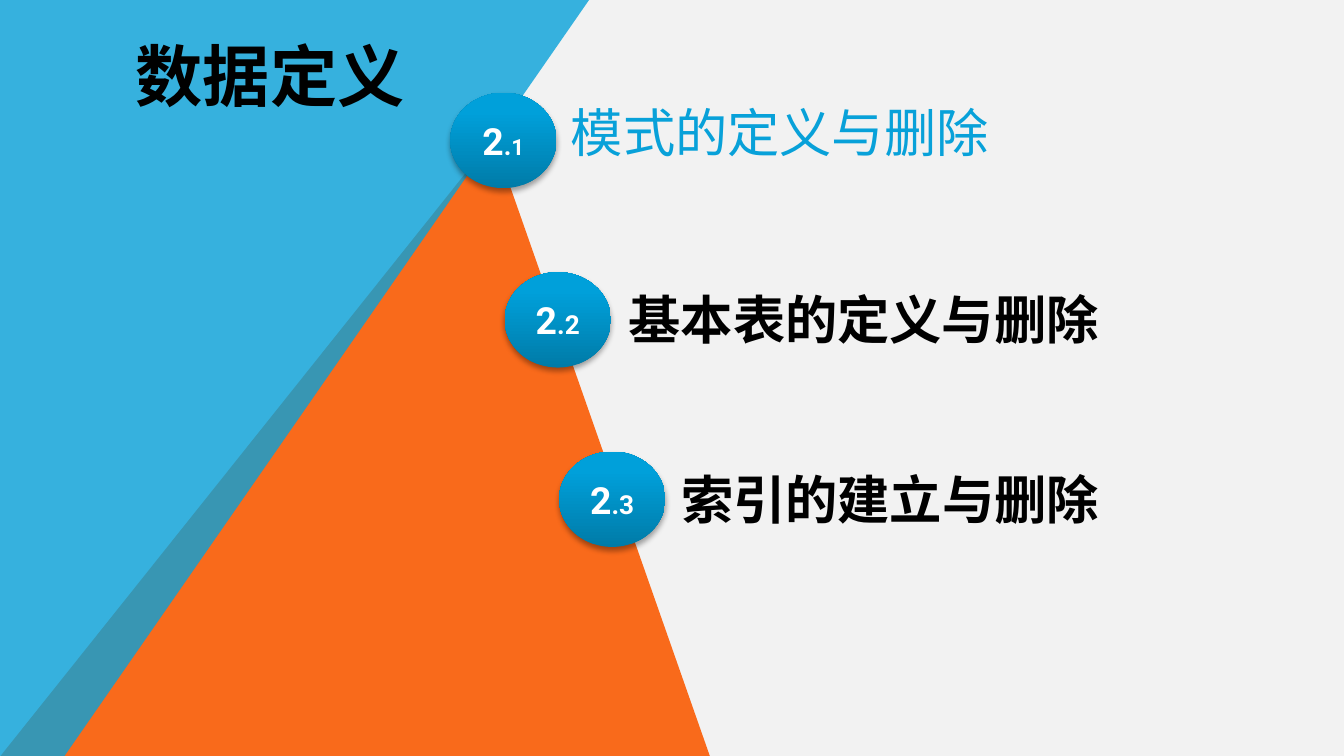
from copy import deepcopy
from dataclasses import dataclass

from lxml import etree
from pptx import Presentation
from pptx.dml.color import RGBColor
from pptx.enum.shapes import MSO_SHAPE
from pptx.enum.text import MSO_ANCHOR, MSO_AUTO_SIZE, PP_ALIGN
from pptx.oxml.ns import qn
from pptx.util import Inches, Pt

OVAL = MSO_SHAPE.OVAL
MIDDLE = MSO_ANCHOR.MIDDLE
GROW = MSO_AUTO_SIZE.SHAPE_TO_FIT_TEXT
FIXED = MSO_AUTO_SIZE.NONE
LEFT = PP_ALIGN.LEFT
CENTER = PP_ALIGN.CENTER


@dataclass(frozen=True)
class Theme:
    background: str = "F2F2F2"
    orange: str = "F96A1B"
    blue: str = "08A1D9"
    black: str = "000000"
    white: str = "FFFFFF"
    badge_stops: tuple = ((0, "007BA8"), (0.8, "00A0DA"), (1, "00A0DB"))
    heading_font: str = "Roboto"
    label_font: str = "Arial"
    title_size: int = 36
    label_size: int = 28
    number_size: int = 20
    minor_size: int = 14
    small_size: int = 12


class SlideBuilder:
    def __init__(self, slide, theme):
        self.slide = slide
        self.theme = theme
        fill = slide.background.fill
        fill.solid()
        fill.fore_color.rgb = RGBColor.from_string(theme.background)

    def run(self, p, text, color, **font):
        r = p.add_run()
        r.text = text
        for name, value in font.items():
            setattr(r.font, name, value)
        r.font.color.rgb = RGBColor.from_string(color)

    def frame(self, sp, align, **settings):
        tf = sp.text_frame
        for name, value in settings.items():
            setattr(tf, name, value)
        p = tf.paragraphs[0]
        p.alignment = align
        return p

    def polygon(self, points, color, opacity=100):
        start, *rest = [(Inches(x), Inches(y)) for x, y in points]
        builder = self.slide.shapes.build_freeform(*start)
        builder.add_line_segments(rest, close=True)
        sp = builder.convert_to_shape()
        sp.shadow.inherit = False
        sp.line.fill.background()
        sp.fill.solid()
        sp.fill.fore_color.rgb = RGBColor.from_string(color)
        if opacity < 100:
            clr = sp._element.spPr.find(qn("a:solidFill")).find(qn("a:srgbClr"))
            etree.SubElement(clr, qn("a:alpha"), val=str(opacity * 1000))

    def title(self, text, left, top, width, height):
        sp = self.slide.shapes.title
        box = {"left": left, "top": top, "width": width, "height": height}
        for name, value in box.items():
            setattr(sp, name, Inches(value))
        p = self.frame(sp, LEFT, vertical_anchor=MIDDLE, auto_size=FIXED, word_wrap=True)
        self.run(p, text, self.theme.black, name=self.theme.heading_font,
                 size=Pt(self.theme.title_size), bold=True)
        self.slide.shapes._spTree.append(sp._element)

    def badge(self, runs, left, top, width=0.79, height=0.71):
        sp = self.slide.shapes.add_shape(
            OVAL, Inches(left), Inches(top), Inches(width), Inches(height))
        sp.line.fill.background()
        self.gradient(sp.fill)
        self.shadow(sp)
        p = self.frame(sp, CENTER, vertical_anchor=MIDDLE)
        for text, size in runs:
            self.run(p, text, self.theme.white, name=self.theme.heading_font,
                     size=Pt(size), bold=True)

    def gradient(self, fill):
        fill.gradient()
        fill.gradient_angle = 90
        stops = fill._fill._gradFill.find(qn("a:gsLst"))
        stops.append(deepcopy(stops[-1]))
        for stop, (position, color) in zip(fill.gradient_stops, self.theme.badge_stops):
            stop.position = position
            stop.color.rgb = RGBColor.from_string(color)

    def shadow(self, sp):
        sp.shadow.inherit = False
        effects = sp._element.spPr.find(qn("a:effectLst"))
        outer = etree.SubElement(
            effects, qn("a:outerShdw"), blurRad=str(Pt(3.1)), dist=str(Pt(1.8)),
            dir="5400000", rotWithShape="0")
        clr = etree.SubElement(outer, qn("a:srgbClr"), val=self.theme.black)
        etree.SubElement(clr, qn("a:alpha"), val="35000")

    def label(self, text, left, top, width, color, bold, height=0.57):
        sp = self.slide.shapes.add_textbox(
            Inches(left), Inches(top), Inches(width), Inches(height))
        p = self.frame(sp, LEFT, word_wrap=False, auto_size=GROW)
        self.run(p, text, color, name=self.theme.label_font,
                 size=Pt(self.theme.label_size), bold=bold)


def main():
    theme = Theme()
    prs = Presentation()
    prs.slide_width = Inches(10)
    prs.slide_height = prs.slide_width * 9 // 16
    s = SlideBuilder(prs.slides.add_slide(prs.slide_layouts[5]), theme)

    s.polygon([(0, 5.63), (3.67, 1.03), (5.29, 5.65)], theme.orange)
    s.polygon([(-0.01, 5.66), (0, -0.01), (4.39, -0.01), (0.47, 5.64)], theme.blue, 80)
    s.title("数据定义", 0.91, 0.21, 2.56, 0.69)

    major, minor, small = theme.number_size, theme.minor_size, theme.small_size
    sections = [
        ([("2", major), (".", minor), ("1", small)],
         ("模式的定义与删除", 4.15, 0.7, 3.34, theme.blue, False)),
        ([("2", major), (".2", minor)],
         ("基本表的定义与删除", 4.58, 2.09, 3.75, theme.black, True)),
        ([("2", major), (".3", minor)],
         ("索引的建立与删除", 4.97, 3.43, 3.36, theme.black, True)),
    ]
    for i, (number, label) in enumerate(sections):
        s.badge(number, 3.35 + 0.405 * i, 0.69 + 1.335 * i)
        s.label(*label)

    prs.save("out.pptx")


if __name__ == "__main__":
    main()
